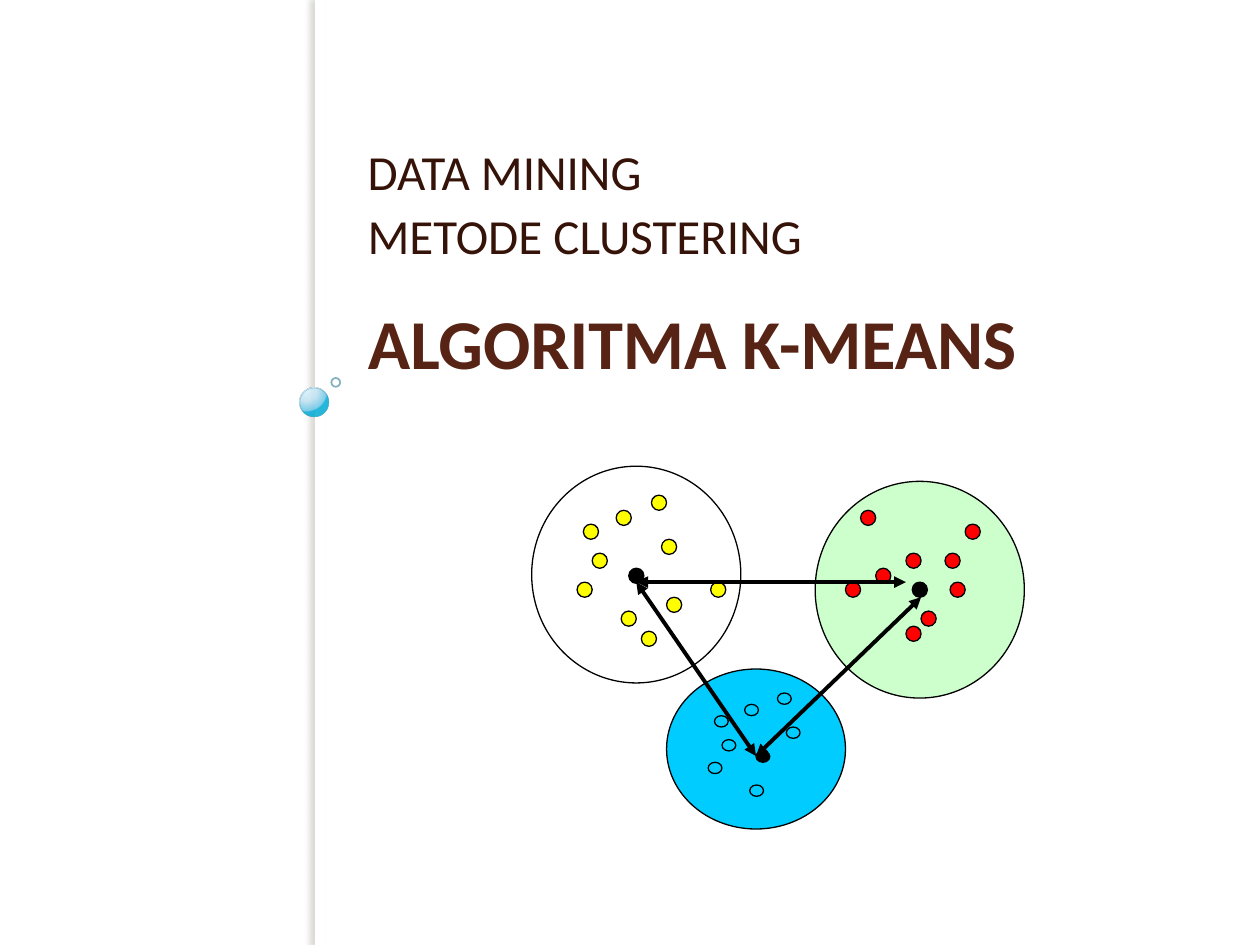
from pptx import Presentation
from pptx.dml.color import RGBColor
from pptx.enum.shapes import MSO_CONNECTOR, MSO_SHAPE
from pptx.enum.text import MSO_ANCHOR, MSO_AUTO_SIZE, PP_ALIGN
from pptx.oxml import parse_xml
from pptx.oxml.ns import nsdecls, qn
from pptx.util import Inches, Pt

OVAL, RECT = MSO_SHAPE.OVAL, MSO_SHAPE.RECTANGLE
STRAIGHT = MSO_CONNECTOR.STRAIGHT
TOP, BOTTOM = MSO_ANCHOR.TOP, MSO_ANCHOR.BOTTOM
LEFT, NO_FIT = PP_ALIGN.LEFT, MSO_AUTO_SIZE.NONE

FONT = "Calibri"
WHITE = RGBColor(0xFF, 0xFF, 0xFF)
BLACK = RGBColor(0, 0, 0)
YELLOW = RGBColor(0xFF, 0xFF, 0)
RED = RGBColor(0xFF, 0, 0)
GREEN = RGBColor(0xCC, 0xFF, 0xCC)
BLUE = RGBColor(0, 0xCC, 0xFF)
BROWN = RGBColor(0x57, 0x23, 0x14)
DARK_BROWN = RGBColor(0x36, 0x13, 0x09)
BEAD_LINE = RGBColor(0x30, 0x8E, 0xA5)
RING_LINE = RGBColor(0x31, 0x80, 0x93)
BEAD_STOPS = [(0, "DAF4FF", 95), (50, "C3E3F0", 90),
              (95, "6BC7E8", 88), (100, "00ABD5", 85)]

# Each cluster: outline box, outline fill, dot size, dot fill, centroid, dots
CLUSTERS = [
    ((4.22, 3.7, 1.66, 1.72), WHITE, (0.12, 0.12), YELLOW, (4.99, 4.51),
     [(4.63, 4.16), (4.89, 4.05), (5.25, 4.28), (4.93, 4.85), (5.64, 4.62),
      (4.7, 4.39), (5.17, 3.93), (4.58, 4.62), (5.09, 5.01), (5.29, 4.74)]),
    ((6.47, 3.82, 1.66, 1.72), GREEN, (0.12, 0.12), RED, (7.24, 4.62),
     [(6.83, 4.05), (7.19, 4.39), (7.5, 4.39), (7.19, 4.97), (7.54, 4.62),
      (6.95, 4.51), (7.66, 4.16), (6.71, 4.62), (7.31, 4.85)]),
    ((5.29, 5.31, 1.42, 1.27), BLUE, (0.11, 0.09), BLUE, (6, 5.96),
     [(5.67, 5.68), (5.91, 5.59), (6.24, 5.77), (5.95, 6.23), (5.73, 5.87),
      (6.17, 5.5), (5.62, 6.05)]),
]
ARROWS = [((5.05, 4.62), (6, 6)), ((6, 6), (7.31, 4.74)),
          ((7.19, 4.62), (5.05, 4.62))]


def add_shape(shapes, kind, box, fill=None, line=None, width=0.75):
    """Add a flat preset shape; no colour means no fill or no line."""
    s = shapes.add_shape(kind, *map(Inches, box))
    s.shadow.inherit = False
    if fill is None:
        s.fill.background()
    else:
        s.fill.solid()
        s.fill.fore_color.rgb = fill
    if line is None:
        s.line.fill.background()
    else:
        s.line.color.rgb = line
        s.line.width = Pt(width)
    return s


def set_line_alpha(s, percent):
    """Make the outline of a shape partly transparent."""
    color = s.line._ln.find(".//" + qn("a:srgbClr"))
    color.append(parse_xml(f'<a:alpha {nsdecls("a")} val="{percent * 1000}"/>'))


def set_radial_fill(s, stops):
    """Replace the fill with a radial gradient lit from the upper left."""
    gs = "".join(
        f'<a:gs pos="{pos * 1000}"><a:srgbClr val="{color}">'
        f'<a:alpha val="{alpha * 1000}"/></a:srgbClr></a:gs>'
        for pos, color, alpha in stops)
    spPr = s._element.spPr
    old = spPr.find(qn("a:noFill"))
    spPr.replace(old, parse_xml(
        f'<a:gradFill {nsdecls("a")} rotWithShape="1"><a:gsLst>{gs}</a:gsLst>'
        '<a:path path="circle"><a:fillToRect l="25000" t="12000" r="75000"'
        ' b="88000"/></a:path></a:gradFill>'))


def add_side_bar(shapes):
    """Draw the shaded vertical bar with its bead and ring."""
    bar = add_shape(shapes, RECT, (2.5, 0, 0.08, 7.5), WHITE)
    effects = bar._element.spPr.find(qn("a:effectLst"))
    effects.append(parse_xml(
        f'<a:outerShdw {nsdecls("a")} blurRad="{Pt(3)}" dist="{Pt(3)}"'
        ' dir="10800000" algn="tl" rotWithShape="0"><a:srgbClr val="736F63">'
        '<a:alpha val="25000"/></a:srgbClr></a:outerShdw>'))
    bead = add_shape(shapes, OVAL, (2.38, 3.08, 0.23, 0.23), None, BEAD_LINE, 0.16)
    set_radial_fill(bead, BEAD_STOPS)
    ring = add_shape(shapes, OVAL, (2.63, 3, 0.07, 0.07), None, RING_LINE, 1)
    for s in (bead, ring):
        set_line_alpha(s, 60)


def fill_text(s, lines, size, color, anchor, bold=False, after=0, spacing=1.0):
    """Write left-aligned lines into a text shape."""
    tf = s.text_frame
    tf.word_wrap = True
    tf.auto_size = NO_FIT
    tf.vertical_anchor = anchor
    for i, text in enumerate(lines):
        p = tf.add_paragraph() if i else tf.paragraphs[0]
        p.alignment = LEFT
        p.space_after = Pt(after)
        p.line_spacing = spacing
        r = p.add_run()
        r.text = text
        r.font.name = FONT
        r.font.size = Pt(size)
        r.font.bold = bold
        r.font.color.rgb = color


def add_cluster(shapes, box, fill, dot_size, dot_fill, centroid, dots):
    """Draw a cluster outline with its dots and black centroid."""
    group = shapes.add_group_shape().shapes
    add_shape(group, OVAL, box, fill, BLACK)
    for dot in dots:
        add_shape(group, OVAL, dot + dot_size, dot_fill, BLACK)
    add_shape(group, OVAL, centroid + dot_size, BLACK, BLACK)


def add_double_arrow(shapes, start, end):
    """Draw a line with an arrowhead at both ends."""
    c = shapes.add_connector(STRAIGHT, *map(Inches, start + end))
    c.line.color.rgb = BLACK
    c.line.width = Pt(2.25)
    ln = c.line._ln
    for tag in ("headEnd", "tailEnd"):
        ln.append(parse_xml(f'<a:{tag} {nsdecls("a")} type="triangle"/>'))
    c._element.spPr.append(parse_xml(f'<a:effectLst {nsdecls("a")}/>'))


def main():
    """Build the slide and save it."""
    prs = Presentation()
    prs.slide_width, prs.slide_height = Inches(10), Inches(7.5)
    slide = prs.slides.add_slide(prs.slide_layouts[5])
    shapes = slide.shapes
    add_side_bar(shapes)

    title = shapes.title
    title.left, title.top = Inches(2.82), Inches(2.33)
    title.width, title.height = Inches(7), Inches(2.05)
    fill_text(title, ["ALGORITMA K-MEANS"], 40, BROWN, TOP, bold=True, after=12)

    subtitle = shapes.add_textbox(*map(Inches, (2.82, 1.07, 7, 1.08)))
    fill_text(subtitle, ["DATA MINING", "METODE CLUSTERING"], 28, DARK_BROWN,
              BOTTOM, after=6, spacing=0.9)

    for cluster in CLUSTERS:
        add_cluster(shapes, *cluster)
    for start, end in ARROWS:
        add_double_arrow(shapes, start, end)
    prs.save("out.pptx")


main()
